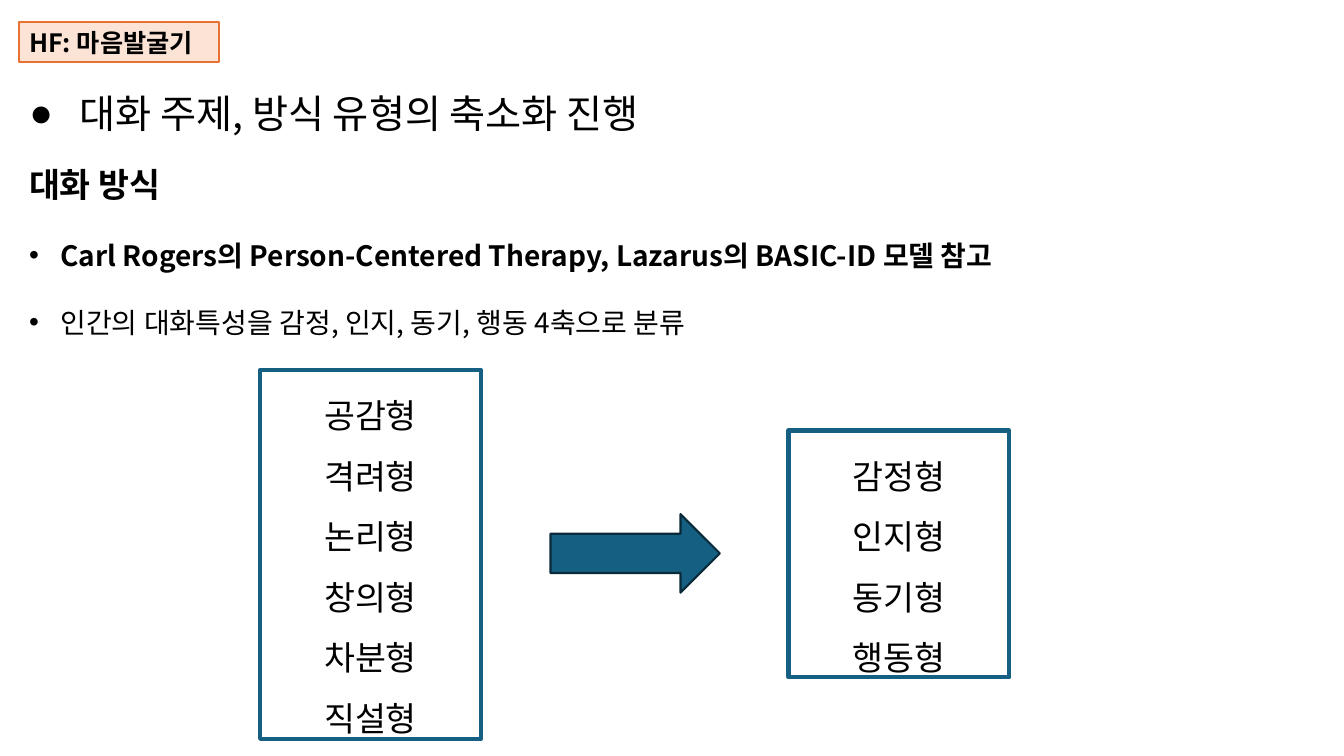
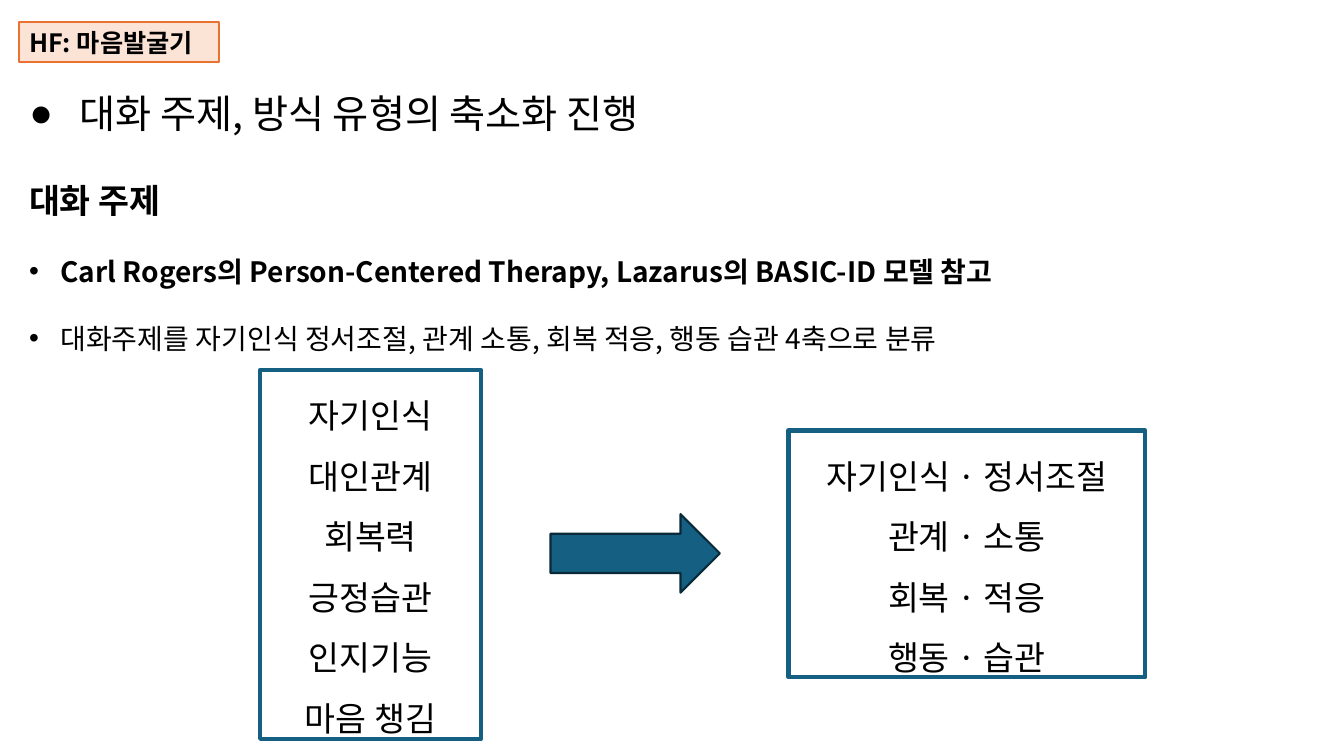
import pptx
import pptx.util
from lxml import etree
from pptx.dml.color import RGBColor
from pptx.enum.shapes import MSO_SHAPE
from pptx.enum.text import MSO_ANCHOR, MSO_AUTO_SIZE, PP_ALIGN
from pptx.oxml.ns import qn
from pptx.util import Inches, Pt

FONT = "Noto Sans CJK KR"
BLACK, BLUE, NAVY = "000000", "156082", "092A39"
PEACH, ORANGE = "FBE3D6", "E97132"
LINE_HEIGHT = 1.2

TAG = "HF: 마음발굴기"
TITLE = "대화 주제, 방식 유형의 축소화 진행"
REFERENCE = "Carl Rogers의 Person-Centered Therapy, Lazarus의 BASIC-ID 모델 참고"


def rgb(value):
    return RGBColor.from_string(value)


def place(sp, left, top, width, height):
    sp.left, sp.top = Inches(left), Inches(top)
    sp.width, sp.height = Inches(width), Inches(height)


def prepare_frame(sp, anchor=MSO_ANCHOR.TOP):
    tf = sp.text_frame
    tf.word_wrap = True
    tf.auto_size = MSO_AUTO_SIZE.NONE
    tf.vertical_anchor = anchor
    return tf


def add_bullet(p, char, indent):
    pPr = p._p.get_or_add_pPr()
    pPr.set("marL", str(Inches(indent)))
    pPr.set("indent", str(-Inches(indent)))
    etree.SubElement(pPr, qn("a:buFont"), typeface="Arial")
    etree.SubElement(pPr, qn("a:buChar"), char=char)


def write(tf, index, text, size, lines=1, bold=False, align=PP_ALIGN.LEFT,
          bullet=None, indent=0.31):
    """Write paragraph number index; lines is the spacing in line heights."""
    p = tf.add_paragraph() if index else tf.paragraphs[0]
    if bullet:
        add_bullet(p, bullet, indent)
    p.alignment = align
    p.line_spacing = Pt(round(size * LINE_HEIGHT * lines, 1))
    r = p.add_run()
    r.text = text
    r.font.name = FONT
    r.font.size = Pt(size)
    r.font.bold = bold
    r.font.color.rgb = rgb(BLACK)
    etree.SubElement(r._r.get_or_add_rPr(), qn("a:ea"), typeface=FONT)


def add_box(s, shape, at, line, weight, fill=None):
    sp = s.shapes.add_shape(shape, *map(Inches, at))
    sp.shadow.inherit = False
    if fill:
        sp.fill.solid()
        sp.fill.fore_color.rgb = rgb(fill)
    else:
        sp.fill.background()
    sp.line.color.rgb = rgb(line)
    sp.line.width = Pt(weight)
    return sp


def add_type_list(s, at, names):
    tf = prepare_frame(add_box(s, MSO_SHAPE.RECTANGLE, at, BLUE, 3))
    for i, name in enumerate(names):
        write(tf, i, name, 24, lines=1.5, align=PP_ALIGN.CENTER)


def add_header(s):
    tag = add_box(s, MSO_SHAPE.RECTANGLE, (0.19, 0.22, 1.98, 0.4), ORANGE, 1.5, PEACH)
    write(prepare_frame(tag, MSO_ANCHOR.MIDDLE), 0, TAG, 18, bold=True)
    title = s.shapes.title
    place(title, 0.19, 0.84, 8.47, 0.57)
    write(prepare_frame(title), 0, TITLE, 28, bullet="●", indent=0.5)


def add_explanation(s, top, height, heading, heading_lines, summary):
    sp = s.shapes.add_textbox(Inches(0.19), Inches(top), Inches(11.82), Inches(height))
    tf = prepare_frame(sp)
    write(tf, 0, heading, 24, lines=heading_lines, bold=True)
    write(tf, 1, REFERENCE, 20, lines=2, bold=True, bullet="•")
    write(tf, 2, summary, 20, lines=2, bullet="•")


def add_reduction(s, before, after, after_width):
    """Show the old types, an arrow, and the reduced types."""
    add_type_list(s, (2.58, 3.67, 2.19, 3.66), before)
    add_box(s, MSO_SHAPE.RIGHT_ARROW, (5.46, 5.1, 1.68, 0.78), NAVY, 1.5, BLUE)
    add_type_list(s, (7.82, 4.27, after_width, 2.45), after)


def add_slide(prs, explanation, before, after, after_width):
    s = prs.slides.add_slide(prs.slide_layouts[5])
    add_header(s)
    add_explanation(s, *explanation)
    add_reduction(s, before, after, after_width)


def main():
    prs = pptx.Presentation()
    prs.slide_width, prs.slide_height = Inches(13.33), Inches(7.5)
    add_slide(
        prs,
        (1.58, 1.74, "대화 방식", 1, "인간의 대화특성을 감정, 인지, 동기, 행동 4축으로 분류"),
        ["공감형", "격려형", "논리형", "창의형", "차분형", "직설형"],
        ["감정형", "인지형", "동기형", "행동형"],
        2.19)
    add_slide(
        prs,
        (1.34, 2.15, "대화 주제", 2,
         "대화주제를 자기인식 정서조절, 관계 소통, 회복 적응, 행동 습관 4축으로 분류"),
        ["자기인식", "대인관계", "회복력", "긍정습관", "인지기능", "마음 챙김"],
        ["자기인식 · 정서조절", "관계 · 소통", "회복 · 적응", "행동 · 습관"],
        3.54)
    prs.save("out.pptx")


if __name__ == "__main__":
    main()
